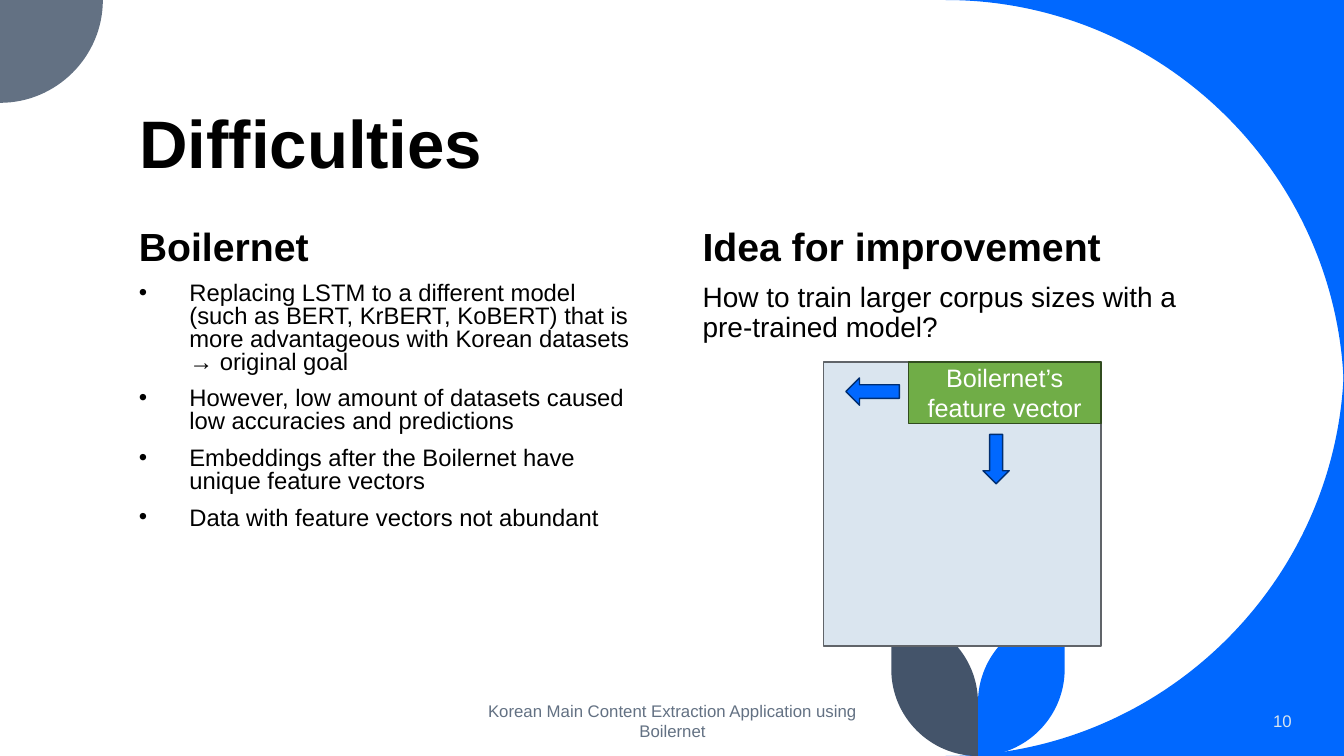
"""Build the Difficulties slide: Boilernet problems beside an idea for improvement."""
from lxml.etree import SubElement
from pptx import Presentation
from pptx.dml.color import RGBColor
from pptx.enum.shapes import MSO_SHAPE as Shape
from pptx.enum.text import MSO_ANCHOR as Anchor, MSO_AUTO_SIZE as AutoSize, PP_ALIGN as Align
from pptx.oxml.ns import qn
from pptx.util import Inches, Pt

WIDTH, HEIGHT = 13.33, 7.5
COLORS = {
    "black": "000000", "white": "FFFFFF", "blue": "0068FF", "navy": "002E70",
    "slate": "637183", "dark slate": "44546A", "pale": "DAE5EF",
    "grey": "606469", "green": "70AD47", "dark green": "314C1F",
}
COLOR = {name: RGBColor.from_string(value) for name, value in COLORS.items()}

deck = Presentation()
deck.slide_width, deck.slide_height = Inches(WIDTH), Inches(HEIGHT)
page = deck.slides.add_slide(deck.slide_layouts[5])


def write(shape, paragraphs, size, color, bold=False, align=Align.LEFT,
          anchor=Anchor.TOP, spacing=1.0, bullet=False):
    frame = shape.text_frame
    frame.word_wrap, frame.auto_size = True, AutoSize.NONE
    frame.vertical_anchor = anchor
    for index, text in enumerate(paragraphs):
        para = frame.add_paragraph() if index else frame.paragraphs[0]
        para.alignment, para.line_spacing = align, spacing
        para.space_before = Pt(10 if index else 0)
        if bullet:
            props = para._p.get_or_add_pPr()
            props.set("marL", str(Inches(0.5)))
            props.set("indent", str(-Inches(0.5)))
            SubElement(props, qn("a:buFont"), typeface="Arial")
            SubElement(props, qn("a:buChar"), char="•")
        span = para.add_run()
        span.text = text
        span.font.name, span.font.size, span.font.bold = "Arial", Pt(size), bold
        span.font.color.rgb = COLOR[color]


def draw_outline(start, steps, color):
    points = [(Inches(x), Inches(y)) for x, y in [start] + [end for end, corner in steps]]
    builder = page.shapes.build_freeform(*points[0])
    builder.add_line_segments(points[1:], close=True)
    ornament = builder.convert_to_shape()
    ornament.shadow.inherit = False
    ornament.fill.solid()
    ornament.fill.fore_color.rgb = COLOR[color]
    ornament.line.fill.background()
    segments = list(ornament._element.iter(qn("a:lnTo")))
    for segment, begin, end, (_, corner) in zip(segments, points, points[1:], steps):
        if corner is None:
            continue
        corner = [Inches(value) for value in corner]
        controls = [[p + BEND * (c - p) for p, c in zip(point, corner)] for point in (begin, end)]
        segment.tag = qn("a:cubicBezTo")
        segment.remove(segment[0])
        for x, y in controls + [end]:
            SubElement(segment, qn("a:pt"), x=str(int(x - ornament.left)), y=str(int(y - ornament.top)))


BEND = 0.55
BIG, SMALL = 3.95, 1.02
LEAF, LEAF_TOP, LEAF_X = 0.86, 6.11, 9.7
draw_outline((WIDTH, 0), [((WIDTH - BIG, 0), None), ((WIDTH, BIG), (WIDTH, 0))], "blue")
draw_outline((WIDTH, HEIGHT), [((WIDTH, HEIGHT - BIG), None),
                               ((WIDTH - BIG, HEIGHT), (WIDTH, HEIGHT))], "blue")
draw_outline((0, 0), [((SMALL, 0), None), ((0, SMALL), (SMALL, SMALL))], "slate")
for edge, color in ((LEAF_X + LEAF, "blue"), (LEAF_X - LEAF, "dark slate")):
    draw_outline((edge, LEAF_TOP), [
        ((edge, HEIGHT - LEAF), None),
        ((LEAF_X, HEIGHT), (edge, HEIGHT)),
        ((LEAF_X, LEAF_TOP + LEAF), None),
        ((edge, LEAF_TOP), (LEAF_X, LEAF_TOP)),
    ], color)

title = page.shapes.title
title.left, title.top, title.width, title.height = map(Inches, (1.28, 0.15, 10.69, 1.72))
write(title, ["Difficulties"], 48, "black", bold=True, anchor=Anchor.BOTTOM, spacing=0.9)

columns = [
    (1.28, "Boilernet", [
        "Replacing LSTM to a different model (such as BERT, KrBERT, KoBERT) that is "
        "more advantageous with Korean datasets → original goal",
        "However, low amount of datasets caused low accuracies and predictions",
        "Embeddings after the Boilernet have unique feature vectors",
        "Data with feature vectors not abundant",
    ], dict(size=17, spacing=0.8, bullet=True)),
    (6.87, "Idea for improvement", [
        "How to train larger corpus sizes with a pre-trained model?",
    ], dict(size=20, spacing=0.9)),
]
for left, heading, body, style in columns:
    box = page.shapes.add_textbox(*map(Inches, (left, 2.21, 5.1, 0.51)))
    write(box, [heading], 28, "black", bold=True, spacing=0.9)
    box = page.shapes.add_textbox(*map(Inches, (left, 2.76, 5.1, 3.09)))
    write(box, body, color="black", **style)

footers = [
    (4.42, 4.5, "Korean Main Content Extraction Application using Boilernet", "slate", Align.CENTER),
    (11.1, 1.81, "10", "pale", Align.RIGHT),
]
for left, width, text, color, align in footers:
    box = page.shapes.add_textbox(*map(Inches, (left, 6.95, width, 0.4)))
    write(box, [text], 12, color, align=align, anchor=Anchor.MIDDLE)

diagram = [
    (Shape.RECTANGLE, (8.17, 3.59, 2.75, 2.82), "pale", "grey", None),
    (Shape.RECTANGLE, (9.01, 3.59, 1.91, 0.61), "green", "dark green", "Boilernet’s feature vector"),
    (Shape.DOWN_ARROW, (9.75, 4.31, 0.26, 0.49), "blue", "navy", None),
    (Shape.LEFT_ARROW, (8.39, 3.75, 0.53, 0.27), "blue", "navy", None),
]
for kind, place, fill, line, label in diagram:
    block = page.shapes.add_shape(kind, *map(Inches, place))
    block.shadow.inherit = False
    block.fill.solid()
    block.fill.fore_color.rgb = COLOR[fill]
    block.line.color.rgb = COLOR[line]
    block.line.width = Pt(1)
    if label:
        write(block, [label], 18, "white", align=Align.CENTER, anchor=Anchor.MIDDLE)

deck.save("out.pptx")
